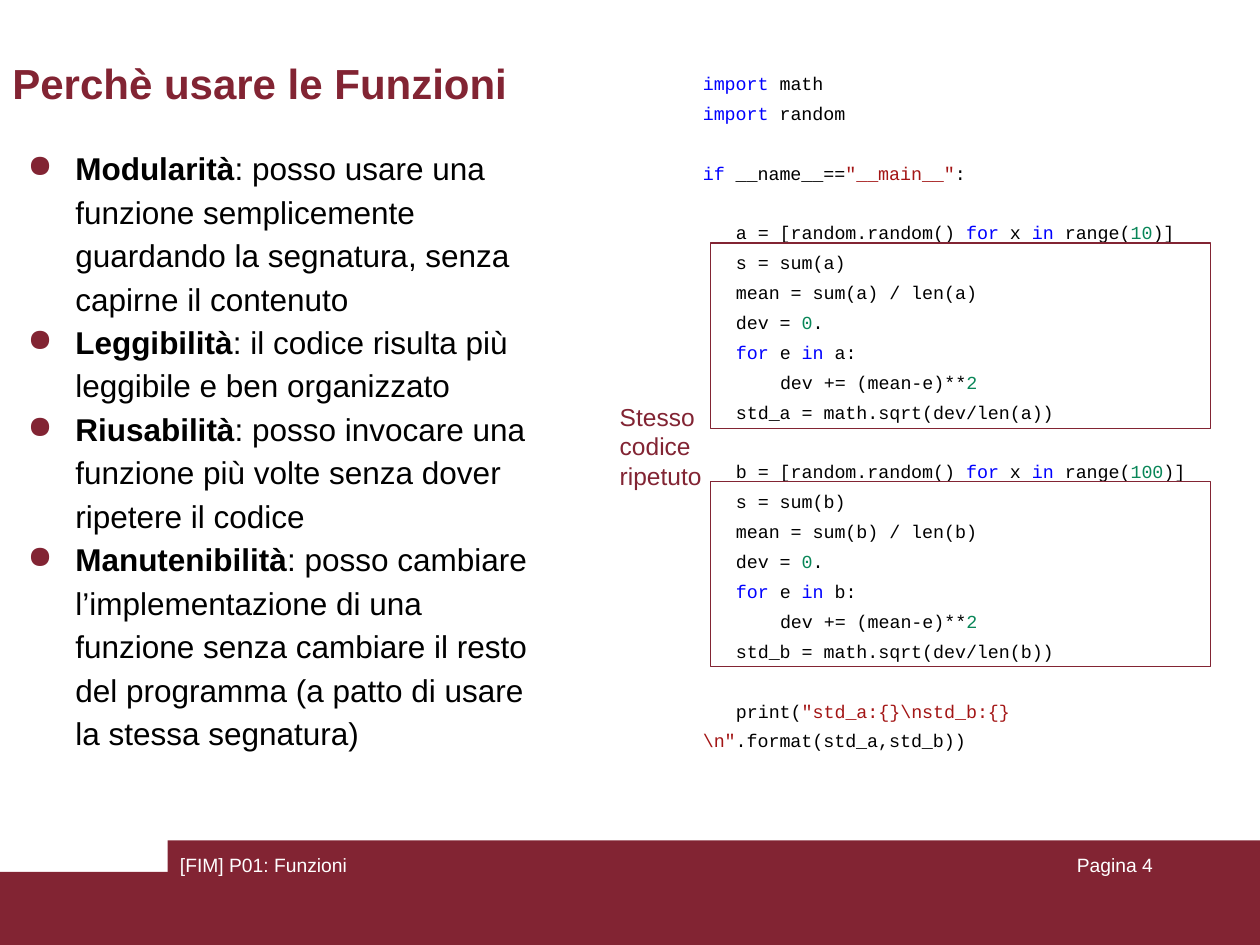
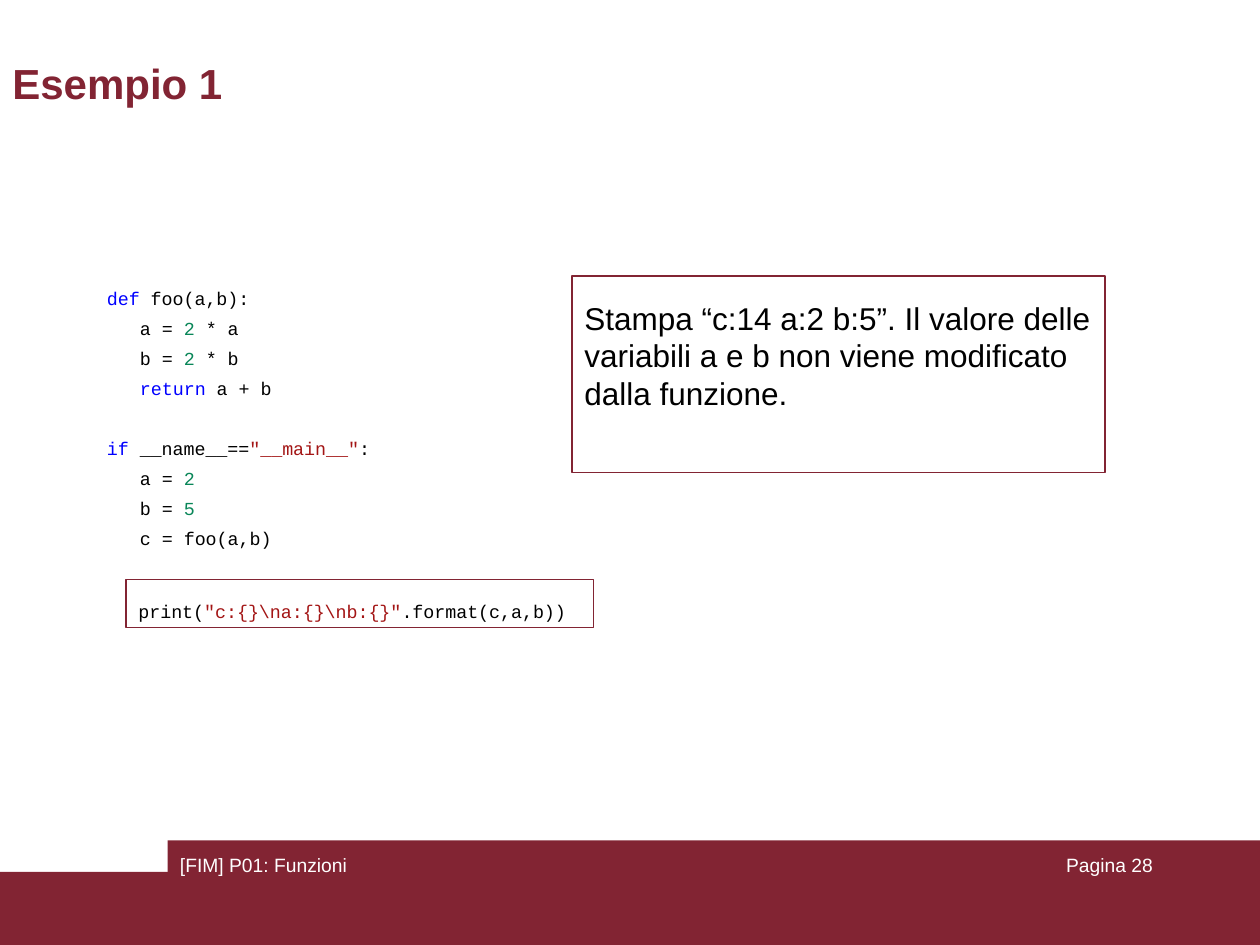
import dataclasses

import pptx
import pptx.dml.color
import pptx.enum.shapes
import pptx.enum.text
import pptx.oxml
import pptx.oxml.ns
import pptx.util

Inches = pptx.util.Inches
Pt = pptx.util.Pt
Align = pptx.enum.text.PP_ALIGN
Anchor = pptx.enum.text.MSO_ANCHOR


@dataclasses.dataclass(frozen=True)
class Theme:
    wine: str = "822433"
    black: str = "000000"
    white: str = "FFFFFF"
    key: str = "0000FF"
    string: str = "A31515"
    number: str = "098658"
    sans: str = "Arial"
    mono: str = "Courier New"
    title: float = 24
    body: float = 18
    note: float = 14
    foot: float = 11
    code: float = 10.5
    step: float = 6.3
    gap: float = 17


KEYS = {"import", "if", "for", "in", "def", "return"}


def rgb(tint):
    return pptx.dml.color.RGBColor.from_string(tint)


class Deck:
    """Draws lesson slides in one shared style."""

    def __init__(self, theme):
        self.theme = theme
        self.show = pptx.Presentation()
        self.show.slide_width = Inches(10)
        self.show.slide_height = Inches(7.5)
        self.slide = None

    def page(self, title, number):
        look = self.theme
        self.slide = self.show.slides.add_slide(self.show.slide_layouts[6])
        self.rect((0, 6.92, 10, 0.58), fill=look.wine)
        self.rect((1.33, 6.67, 8.67, 0.83), fill=look.wine)
        self.text((7.17, 6.72, 2.08, 0.5), f"Pagina {number}", look.foot, look.white, align=Align.RIGHT)
        self.text((1.33, 6.72, 3.17, 0.5), "[FIM] P01: Funzioni", look.foot, look.white)
        self.text((0, 0.41, 8.27, 0.55), title, look.title, look.wine, bold=True)

    def rect(self, box, fill=None):
        kind = pptx.enum.shapes.MSO_SHAPE.RECTANGLE
        shape = self.slide.shapes.add_shape(kind, *map(Inches, box))
        shape.shadow.inherit = False
        if fill:
            shape.fill.solid()
            shape.fill.fore_color.rgb = rgb(fill)
            shape.line.fill.background()
        else:
            shape.fill.background()
            shape.line.color.rgb = rgb(self.theme.wine)
            shape.line.width = Pt(0.75)
        return shape

    def area(self, box):
        return self.slide.shapes.add_textbox(*map(Inches, box))

    def frame(self, shape, pad=0.05, low=None):
        frame = shape.text_frame
        frame.word_wrap = True
        frame.vertical_anchor = Anchor.TOP
        frame.margin_left = frame.margin_right = Inches(0.1)
        frame.margin_top = Inches(pad)
        frame.margin_bottom = Inches(low or pad)
        return frame

    def para(self, frame, first, size, tint, font=None, align=Align.LEFT):
        para = frame.paragraphs[0] if first else frame.add_paragraph()
        para.alignment = align
        para.font.size = Pt(size)
        para.font.name = font or self.theme.sans
        para.font.color.rgb = rgb(tint)
        return para

    def text(self, box, words, size, tint, bold=False, align=Align.LEFT, pad=0.05):
        frame = self.frame(self.area(box), pad)
        para = self.para(frame, True, size, tint, align=align)
        para.font.bold = bold
        para.add_run().text = words

    def panel(self, box, words):
        frame = self.frame(self.rect(box), 0.1, low=0.4)
        frame.vertical_anchor = Anchor.MIDDLE
        para = self.para(frame, True, self.theme.body, self.theme.black)
        para.add_run().text = words

    def list(self, box, items):
        look = self.theme
        frame = self.frame(self.area(box))
        for spot, (term, rest) in enumerate(items):
            para = self.para(frame, spot == 0, look.body, look.black)
            para.line_spacing = 1.15
            para.space_before = Pt(0 if spot else 3.6)
            self.bullet(para)
            head = para.add_run()
            head.text = term
            head.font.bold = True
            para.add_run().text = f": {rest}"

    def bullet(self, para):
        props = para._p.get_or_add_pPr()
        props.set("marL", str(Inches(0.5)))
        props.set("indent", str(Inches(-0.38)))
        space = pptx.oxml.ns.nsdecls("a")
        for mark in (
            f'<a:buClr {space}><a:srgbClr val="{self.theme.wine}"/></a:buClr>',
            f'<a:buChar {space} char="●"/>',
        ):
            props.insert_element_before(pptx.oxml.parse_xml(mark), "a:defRPr")

    def code(self, shape, source):
        look = self.theme
        frame = self.frame(shape, 0.1)
        gap = 0
        for spot, line in enumerate(source):
            if not line:
                gap = look.gap
                continue
            para = self.para(frame, spot == 0, look.code, look.black, look.mono)
            para.line_spacing = 1.36
            para.space_before = Pt(gap)
            gap = 0
            bare = line.lstrip()
            props = para._p.get_or_add_pPr()
            props.set("marL", "0")
            props.set("indent", str(Pt(look.step * (len(line) - len(bare)))))
            for token in filter(None, bare.split("|")):
                run = para.add_run()
                run.text = token
                tint = self.tint(token)
                if tint:
                    run.font.color.rgb = rgb(tint)

    def tint(self, token):
        if token in KEYS:
            return self.theme.key
        if token.startswith('"'):
            return self.theme.string
        if token.isdigit():
            return self.theme.number
        return None


def stats(name, count):
    return [
        "",
        f"   {name} = [random.random() |for| x |in| range(|{count}|)]",
        f"   s = sum({name})",
        f"   mean = sum({name}) / len({name})",
        "   dev = |0|.",
        f"   |for| e |in| {name}:",
        "       dev += (mean-e)**|2",
        f"   std_{name} = math.sqrt(dev/len({name}))",
    ]


START = '|if| __name__==|"__main__"|:'


def reasons(deck):
    look = deck.theme
    deck.page("Perchè usare le Funzioni", 4)
    deck.list((0, 1.09, 4.31, 4.91), [
        ("Modularità", "posso usare una funzione semplicemente guardando la segnatura, senza capirne il contenuto"),
        ("Leggibilità", "il codice risulta più leggibile e ben organizzato"),
        ("Riusabilità", "posso invocare una funzione più volte senza dover ripetere il codice"),
        ("Manutenibilità", "posso cambiare l’implementazione di una funzione senza cambiare "
         "il resto del programma (a patto di usare la stessa segnatura)"),
    ])
    deck.code(deck.area((5.48, 0.41, 4.57, 5.66)), [
        "|import| math",
        "|import| random",
        "",
        START,
        *stats("a", 10),
        *stats("b", 100),
        "",
        r'   print(|"std_a:{}\nstd_b:{}\n"|.format(std_a,std_b))',
    ])
    for top in (1.93, 3.82):
        deck.rect((5.64, top, 3.97, 1.47))
    deck.text((4.82, 3.09, 1.09, 0.91), "Stesso codice ripetuto", look.note, look.wine, pad=0.1)


def example(deck):
    deck.page("Esempio 1", 28)
    deck.panel((4.54, 2.19, 4.23, 1.56),
               "Stampa “c:14 a:2 b:5”. Il valore delle variabili a e b non viene modificato dalla funzione.")
    deck.code(deck.area((0.75, 2.12, 3.79, 2.3)), [
        "|def| foo(a,b):",
        "   a = |2| * a",
        "   b = |2| * b",
        "   |return| a + b",
        "",
        START,
        "   a = |2",
        "   b = |5",
        "   c = foo(a,b)",
    ])
    deck.code(deck.rect((1, 4.6, 3.71, 0.38)), [r'print(|"c:{}\na:{}\nb:{}"|.format(c,a,b))'])


def main():
    deck = Deck(Theme())
    reasons(deck)
    example(deck)
    deck.show.save("out.pptx")


if __name__ == "__main__":
    main()
